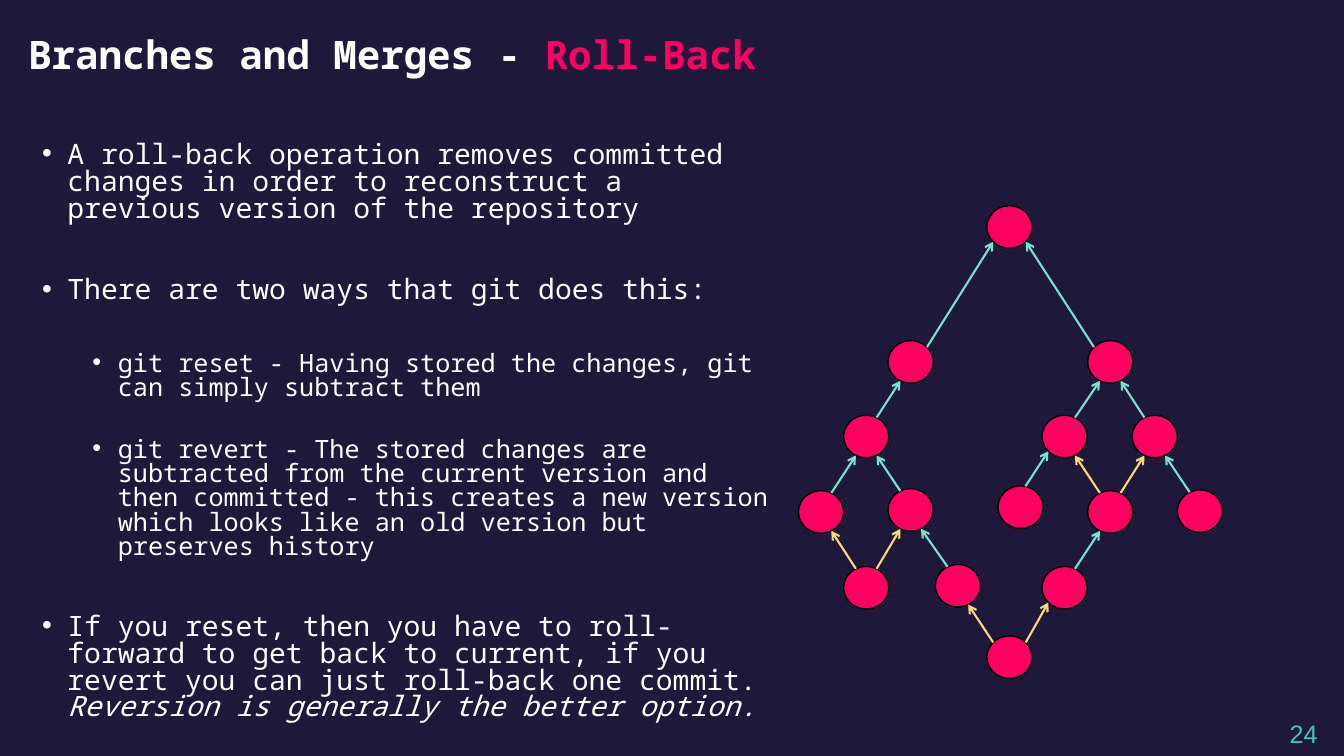
from collections import namedtuple
from dataclasses import dataclass
from math import copysign, sqrt

from lxml.etree import SubElement
from pptx import Presentation
from pptx.dml.color import RGBColor
from pptx.enum.shapes import MSO_CONNECTOR, MSO_SHAPE
from pptx.enum.text import MSO_ANCHOR, PP_ALIGN
from pptx.oxml.ns import qn
from pptx.util import Cm, Pt


@dataclass(frozen=True)
class Theme:
    background: str = "1E193B"
    text: str = "FFFFFF"
    accent: str = "FD0062"
    outline: str = "000000"
    branch: str = "7CE0D1"
    merge: str = "F7D97B"
    page: str = "40C7B7"
    font: str = "Noto Sans Mono"
    page_font: str = "Arial"
    title_size: int = 28
    body_size: int = 20
    detail_size: int = 18
    page_size: int = 18


THEME = Theme()
Box = namedtuple("Box", "left top width height")
Bullet = namedtuple("Bullet", "text level space_before emphasis", defaults=("",))

BULLETS = [
    Bullet("A roll-back operation removes committed changes in order to "
           "reconstruct a previous version of the repository", 0, 0),
    Bullet("There are two ways that git does this:", 0, 39),
    Bullet("git reset - Having stored the changes, git can simply subtract them", 1, 34),
    Bullet("git revert - The stored changes are subtracted from the current version "
           "and then committed - this creates a new version which looks like an old "
           "version but preserves history", 1, 27),
    Bullet("If you reset, then you have to roll-forward to get back to current, "
           "if you revert you can just roll-back one commit. ", 0, 39,
           "Reversion is generally the better option."),
]

COMMIT_WIDTH, COMMIT_HEIGHT = 1.14, 1.07

# Commit centres in cm from the corner of the graph
COMMITS = {
    "root": (5.32, 0.54),
    "left": (2.83, 3.94), "right": (7.86, 3.94),
    "left fork": (1.71, 5.82), "right fork": (6.71, 5.82), "right twin": (8.98, 5.82),
    "left a": (0.57, 7.72), "left b": (2.83, 7.67),
    "right a": (5.6, 7.6), "right b": (7.86, 7.72), "right c": (10.12, 7.7),
    "left merge": (1.71, 9.63), "left tip": (4.02, 9.58), "right tip": (6.71, 9.63),
    "final merge": (5.32, 11.38),
}

# Parent, child, and how far sideways from each centre the arrow meets the rim
STEEP, WIDE = 0.26, 0.41
BRANCHES = [
    ("root", "left", WIDE, WIDE), ("root", "right", WIDE, WIDE),
    ("left", "left fork", STEEP, STEEP),
    ("left fork", "left a", STEEP, STEEP), ("left fork", "left b", STEEP, STEEP),
    ("right", "right fork", STEEP, STEEP), ("right", "right twin", STEEP, STEEP),
    ("right fork", "right a", WIDE, 0.12), ("right twin", "right c", STEEP, STEEP),
    ("left b", "left tip", STEEP, STEEP), ("right b", "right tip", STEEP, STEEP),
]
MERGES = [
    ("right fork", "right b", STEEP, STEEP), ("right twin", "right b", STEEP, STEEP),
    ("left a", "left merge", STEEP, STEEP), ("left b", "left merge", STEEP, STEEP),
    ("left tip", "final merge", STEEP, WIDE), ("right tip", "final merge", WIDE, WIDE),
]


def rgb(value):
    return RGBColor.from_string(value)


def add_frame(slide, box, anchor=MSO_ANCHOR.TOP):
    frame = slide.shapes.add_textbox(*(Cm(length) for length in box)).text_frame
    frame.word_wrap = True
    frame.vertical_anchor = anchor
    return frame


def add_run(paragraph, text, size, color=THEME.text, font=THEME.font,
            bold=False, italic=False):
    run = paragraph.add_run()
    run.text = text
    run.font.name = font
    run.font.size = Pt(size)
    run.font.bold = bold
    run.font.italic = italic
    run.font.color.rgb = rgb(color)


def add_title(slide, box):
    heading = add_frame(slide, box, MSO_ANCHOR.MIDDLE).paragraphs[0]
    heading.line_spacing = 0.9
    add_run(heading, "Branches and Merges - ", THEME.title_size, bold=True)
    add_run(heading, "Roll-Back", THEME.title_size, THEME.accent, bold=True)


def add_page_number(slide, box):
    number = add_frame(slide, box, MSO_ANCHOR.MIDDLE).paragraphs[0]
    number.alignment = PP_ALIGN.CENTER
    add_run(number, "24", THEME.page_size, THEME.page, THEME.page_font)


def set_bullet(paragraph, level):
    properties = paragraph._p.get_or_add_pPr()
    properties.set("marL", str(Cm(0.64 + 1.27 * level)))
    properties.set("indent", str(-Cm(0.64)))
    SubElement(properties, qn("a:buFont"), typeface=THEME.page_font)
    SubElement(properties, qn("a:buChar"), char="•")


def add_explanation(slide, box):
    frame = add_frame(slide, box)
    for index, bullet in enumerate(BULLETS):
        paragraph = frame.add_paragraph() if index else frame.paragraphs[0]
        set_bullet(paragraph, bullet.level)
        paragraph.level = bullet.level
        paragraph.line_spacing = 0.8
        paragraph.space_before = Pt(bullet.space_before)
        size = THEME.detail_size if bullet.level else THEME.body_size
        add_run(paragraph, bullet.text, size)
        if bullet.emphasis:
            add_run(paragraph, bullet.emphasis, size, italic=True)


def add_commit(slide, x, y):
    commit = slide.shapes.add_shape(
        MSO_SHAPE.OVAL, Cm(x - COMMIT_WIDTH / 2), Cm(y - COMMIT_HEIGHT / 2),
        Cm(COMMIT_WIDTH), Cm(COMMIT_HEIGHT))
    commit.shadow.inherit = False
    commit.fill.solid()
    commit.fill.fore_color.rgb = rgb(THEME.accent)
    commit.line.color.rgb = rgb(THEME.outline)
    commit.line.width = Pt(1)


def rim_drop(sideways):
    """Height from a commit's centre to its rim at a sideways distance."""
    return COMMIT_HEIGHT / 2 * sqrt(1 - (2 * sideways / COMMIT_WIDTH) ** 2)


def add_history_arrow(slide, parent, child, parent_offset, child_offset, color):
    """Draw an arrow from the child's upper rim to the parent's lower rim."""
    side = copysign(1, child[0] - parent[0])
    arrow = slide.shapes.add_connector(
        MSO_CONNECTOR.STRAIGHT,
        Cm(parent[0] + side * parent_offset), Cm(parent[1] + rim_drop(parent_offset)),
        Cm(child[0] - side * child_offset), Cm(child[1] - rim_drop(child_offset)))
    arrow.line.color.rgb = rgb(color)
    arrow.line.width = Pt(1.5)
    SubElement(arrow.line._get_or_add_ln(), qn("a:headEnd"), type="arrow")
    SubElement(arrow._element.spPr, qn("a:effectLst"))


def add_commit_graph(slide, left, top):
    centres = {name: (left + x, top + y) for name, (x, y) in COMMITS.items()}
    for centre in centres.values():
        add_commit(slide, *centre)
    for edges, color in ((BRANCHES, THEME.branch), (MERGES, THEME.merge)):
        for parent, child, parent_offset, child_offset in edges:
            add_history_arrow(slide, centres[parent], centres[child],
                              parent_offset, child_offset, color)


def main():
    deck = Presentation()
    deck.slide_width, deck.slide_height = Cm(33.87), Cm(19.05)
    slide = deck.slides.add_slide(deck.slide_layouts[6])
    slide.background.fill.solid()
    slide.background.fill.fore_color.rgb = rgb(THEME.background)
    add_page_number(slide, Box(31.83, 17.98, 2.05, 1.02))
    add_title(slide, Box(0.46, 0.48, 32.94, 1.9))
    add_commit_graph(slide, 20.12, 5.18)
    add_explanation(slide, Box(0.81, 3.48, 18.95, 15.24))
    deck.save("out.pptx")


if __name__ == "__main__":
    main()
